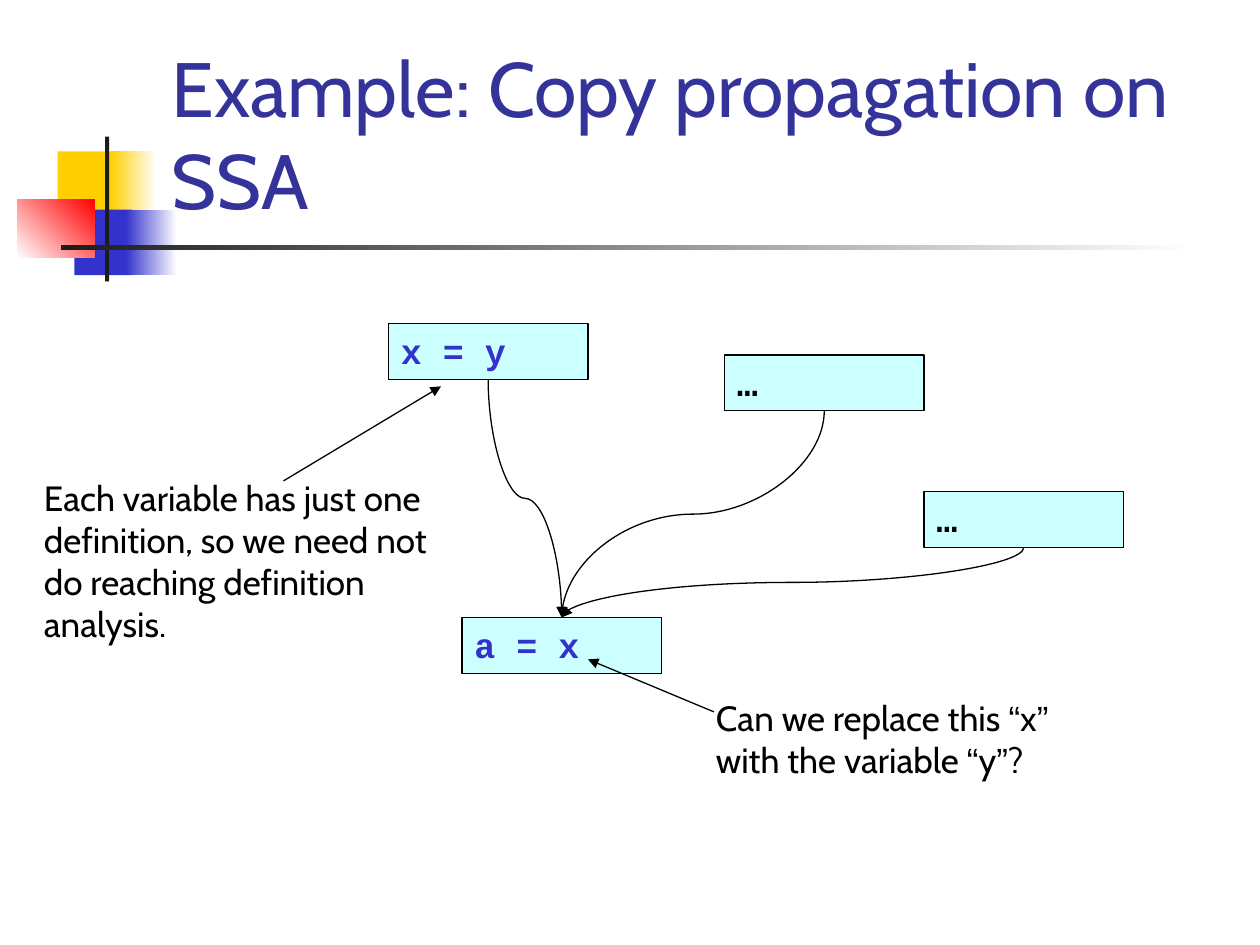
from itertools import cycle
from typing import NamedTuple, Optional

from lxml.etree import SubElement
from pptx import Presentation
from pptx.dml.color import RGBColor
from pptx.enum.shapes import MSO_CONNECTOR, MSO_SHAPE
from pptx.enum.text import MSO_ANCHOR, MSO_AUTO_SIZE, PP_ALIGN
from pptx.oxml.ns import qn
from pptx.util import Pt

BLACK, WHITE = "000000", "FFFFFF"
YELLOW, BLUE, RED, CHARCOAL = "FFCF01", "3333CC", "FF0000", "1C1C1C"
TITLE_BLUE, PALE_CYAN = "333399", "CCFFFF"
BODY_FONT, QUOTE_FONT, CODE_FONT = "Cabin", "Arial", "Courier New"
BLOCK_WIDTH, BLOCK_HEIGHT = 114, 32


class Ornament(NamedTuple):
    left: float
    top: float
    width: float
    height: float
    color: str
    fade_to: Optional[str] = None
    angle: float = 0


class Block(NamedTuple):
    left: float
    top: float
    code: str
    color: str


class Note(NamedTuple):
    left: float
    top: float
    width: float
    height: float
    pieces: tuple  # body text and quotation marks in turn
    arrow: tuple  # start x, start y, end x, end y


ORNAMENTS = [
    Ornament(33, 86.5, 34.5, 37.5, YELLOW),
    Ornament(63.3, 86.5, 26, 37.5, YELLOW, WHITE),
    Ornament(42.5, 119.8, 33, 37.4, BLUE),
    Ornament(72, 119.8, 29, 37.4, BLUE, WHITE),
    Ornament(9.8, 113.8, 44.2, 33.4, WHITE, RED, 45),
    Ornament(60, 78, 2.4, 82.8, CHARCOAL),
    Ornament(34.8, 140.2, 648, 2.4, CHARCOAL, WHITE),
]
USE_BLOCK = Block(264, 352.8, "a = x", BLUE)
SOURCE_BLOCKS = [
    Block(222, 184.8, "x = y", BLUE),
    Block(414, 202.8, "…", BLACK),
    Block(528, 280.8, "…", BLACK),
]
NOTES = [
    Note(402, 394.6, 234, 55.6,
         ("Can we replace this ", "“", "x", "”", " with the variable ",
          "“", "y", "”", "?"),
         (408, 406.8, 336, 376.8)),
    Note(18, 268.6, 234, 103,
         ("Each variable has just one definition, so we need not do "
          "reaching definition analysis.",),
         (162, 274.8, 252, 220.8)),
]


def rgb(color: str) -> RGBColor:
    return RGBColor.from_string(color)


def style_font(font, name: str, size: float, color: str, bold: bool = False) -> None:
    font.name, font.size, font.bold = name, Pt(size), bold
    font.color.rgb = rgb(color)


def draw_ornament(shapes, ornament: Ornament) -> None:
    bar = shapes.add_shape(MSO_SHAPE.RECTANGLE, *map(Pt, ornament[:4]))
    bar.shadow.inherit = False
    bar.line.fill.background()
    if ornament.fade_to is None:
        bar.fill.solid()
        bar.fill.fore_color.rgb = rgb(ornament.color)
        return
    bar.fill.gradient()
    bar.fill.gradient_angle = ornament.angle
    for stop, color in zip(bar.fill.gradient_stops, (ornament.color, ornament.fade_to)):
        stop.color.rgb = rgb(color)


def draw_block(shapes, block: Block):
    box = shapes.add_shape(MSO_SHAPE.RECTANGLE, Pt(block.left), Pt(block.top),
                           Pt(BLOCK_WIDTH), Pt(BLOCK_HEIGHT))
    box.shadow.inherit = False
    box.fill.solid()
    box.fill.fore_color.rgb = rgb(PALE_CYAN)
    box.line.color.rgb = rgb(BLACK)
    box.line.width = Pt(0.75)
    frame = box.text_frame
    frame.word_wrap = True
    frame.auto_size = MSO_AUTO_SIZE.SHAPE_TO_FIT_TEXT
    frame.vertical_anchor = MSO_ANCHOR.TOP
    code = frame.paragraphs[0]
    code.text = block.code
    code.alignment = PP_ALIGN.LEFT
    style_font(code.font, CODE_FONT, 20, block.color, bold=True)
    return box


def draw_arrow(shapes, kind, ends: tuple):
    arrow = shapes.add_connector(kind, *map(Pt, ends))
    arrow.line.color.rgb = rgb(BLACK)
    arrow.line.width = Pt(0.75)
    SubElement(arrow.line._get_or_add_ln(), qn("a:tailEnd"), type="triangle")
    SubElement(arrow._element.spPr, qn("a:effectLst"))
    return arrow


def draw_flow(shapes, source: Block, source_box, target: Block, target_box) -> None:
    """Curve from the bottom of one block to the top of another."""
    start_x, start_y = source.left + BLOCK_WIDTH / 2, source.top + BLOCK_HEIGHT
    end_x, end_y = target.left + BLOCK_WIDTH / 2, target.top
    flow = draw_arrow(shapes, MSO_CONNECTOR.CURVE, (start_x, start_y, end_x, end_y))
    flow.begin_connect(source_box, 2)
    flow.end_connect(target_box, 0)

    # A quarter turn makes the curve leave and arrive vertically
    drop, shift = end_y - start_y, abs(end_x - start_x)
    flow.left, flow.top = Pt((start_x + end_x - drop) / 2), Pt((start_y + end_y - shift) / 2)
    flow.width, flow.height = Pt(drop), Pt(shift)
    goes_right = end_x > start_x
    frame = flow._element.spPr.find(qn("a:xfrm"))
    frame.set("rot", str((270 if goes_right else 90) * 60000))
    frame.set("flipH", "1" if goes_right else "0")
    frame.set("flipV", "0")


def add_text_box(shapes, left: float, top: float, width: float, height: float):
    frame = shapes.add_textbox(Pt(left), Pt(top), Pt(width), Pt(height)).text_frame
    frame.word_wrap = True
    return frame


def draw_note(shapes, note: Note) -> None:
    frame = add_text_box(shapes, *note[:4])
    frame.auto_size = MSO_AUTO_SIZE.SHAPE_TO_FIT_TEXT
    paragraph = frame.paragraphs[0]
    style_font(paragraph.font, BODY_FONT, 20, BLACK)
    for piece, font_name in zip(note.pieces, cycle((BODY_FONT, QUOTE_FONT))):
        run = paragraph.add_run()
        run.text = piece
        style_font(run.font, font_name, 20, BLACK)
    draw_arrow(shapes, MSO_CONNECTOR.STRAIGHT, note.arrow)


def draw_title(shapes, wording: str) -> None:
    frame = add_text_box(shapes, 91, 16.8, 613.4, 115.2)
    frame.vertical_anchor = MSO_ANCHOR.BOTTOM
    title = frame.paragraphs[0]
    title.text = wording
    style_font(title.font, BODY_FONT, 44, TITLE_BLUE)


def main() -> None:
    presentation = Presentation()
    presentation.slide_width, presentation.slide_height = Pt(720), Pt(540)
    shapes = presentation.slides.add_slide(presentation.slide_layouts[6]).shapes

    # Heading with its ornament
    for ornament in ORNAMENTS:
        draw_ornament(shapes, ornament)
    draw_title(shapes, "Example: Copy propagation on SSA")

    # Flow graph
    use_box = draw_block(shapes, USE_BLOCK)
    source_boxes = [draw_block(shapes, block) for block in SOURCE_BLOCKS]
    for block, box in zip(SOURCE_BLOCKS, source_boxes):
        draw_flow(shapes, block, box, USE_BLOCK, use_box)

    # Remarks
    for note in NOTES:
        draw_note(shapes, note)

    presentation.save("out.pptx")


if __name__ == "__main__":
    main()
